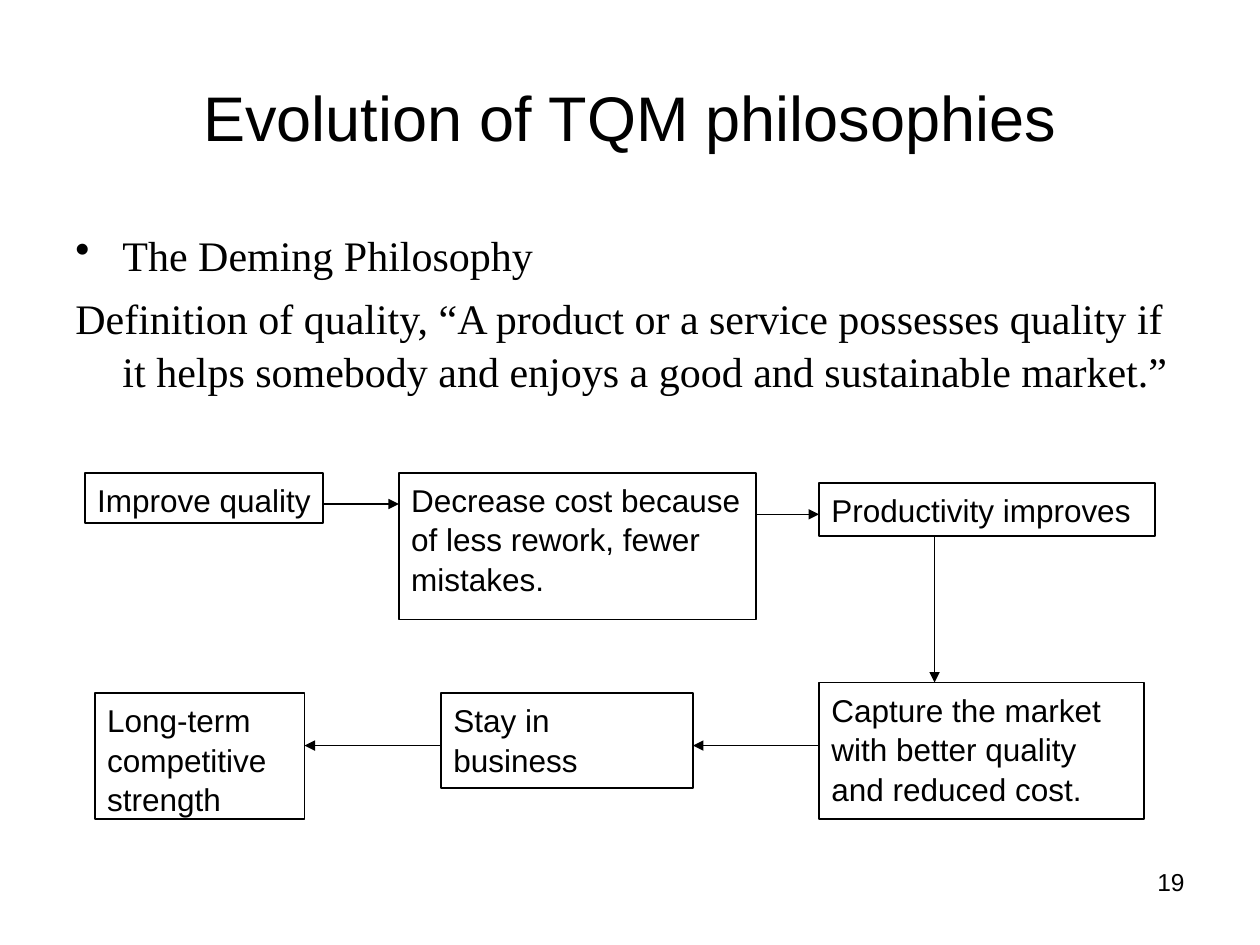
import pptx
import pptx.dml.color
import pptx.enum.shapes
import pptx.enum.text
import pptx.oxml
import pptx.oxml.ns
import pptx.util
from pptx.util import Cm

COLORS = {"ink": "000000"}
SANS, SERIF = "Arial", "Times New Roman"
LINE_SPACING = 1.05
ALIGN = pptx.enum.text.PP_ALIGN
ANCHOR = pptx.enum.text.MSO_ANCHOR

# Positions are left, top, width, height in centimetres.
TITLE = ("Evolution of TQM philosophies", (1.27, 0.76, 22.86, 3.18))
BODY_AREA = (1.27, 4.45, 22.86, 12.57)
BODY = [  # text, bulleted
    ("The Deming Philosophy", True),
    ("Definition of quality, “A product or a service possesses quality if "
     "it helps somebody and enjoys a good and sustainable market.”", False),
]
PAGE_NUMBER = ("19", (18.2, 17.36, 5.93, 1.32))
STEPS = [  # text, position, wrapped
    ("Improve quality", (1.71, 9.53, 4.8, 1.02), False),
    ("Decrease cost because of less rework, fewer mistakes.",
     (8.04, 9.53, 7.2, 2.96), True),
    ("Productivity improves", (16.51, 9.74, 6.77, 1.06), False),
    ("Capture the market with better quality and reduced cost.",
     (16.51, 13.76, 6.56, 2.75), True),
    ("Stay in business", (8.89, 13.97, 5.08, 1.91), True),
    ("Long-term competitive strength", (1.91, 13.97, 4.23, 2.54), True),
]
# Direction of the arrow after each step, and the coordinate it runs along.
ARROWS = [("right", 10.16), ("right", 10.37), ("down", 18.84),
          ("left", 15.03), ("left", 15.03)]


def ink():
    return pptx.dml.color.RGBColor.from_string(COLORS["ink"])


def style(paragraph, size, font=SANS, align=ALIGN.LEFT):
    paragraph.alignment = align
    paragraph.font.name = font
    paragraph.font.size = pptx.util.Pt(size)
    paragraph.font.color.rgb = ink()


def add_text(slide, text, area, size, align, anchor=ANCHOR.TOP):
    frame = slide.shapes.add_textbox(*map(Cm, area)).text_frame
    frame.word_wrap = True
    frame.vertical_anchor = anchor
    frame.text = text
    style(frame.paragraphs[0], size, align=align)


def add_body(slide):
    frame = slide.shapes.add_textbox(*map(Cm, BODY_AREA)).text_frame
    frame.word_wrap = True
    for index, (text, bulleted) in enumerate(BODY):
        paragraph = frame.paragraphs[0] if index == 0 else frame.add_paragraph()
        paragraph.text = text
        paragraph.line_spacing = LINE_SPACING
        if index:
            paragraph.space_before = pptx.util.Pt(6)
        properties = paragraph._p.get_or_add_pPr()
        properties.set("marL", str(Cm(0.95)))
        properties.set("indent", str(-Cm(0.95)))
        if bulleted:
            bullet = pptx.oxml.ns.qn("a:buChar")
            properties.append(properties.makeelement(bullet, {"char": "•"}))
        style(paragraph, 24, SERIF)


def add_step(slide, text, area, wrapped):
    shape = slide.shapes.add_shape(
        pptx.enum.shapes.MSO_SHAPE.RECTANGLE, *map(Cm, area))
    shape.shadow.inherit = False
    shape.fill.background()
    shape.line.color.rgb = ink()
    shape.line.width = pptx.util.Pt(1)
    frame = shape.text_frame
    frame.word_wrap = wrapped
    frame.vertical_anchor = ANCHOR.TOP
    frame.text = text
    frame.paragraphs[0].line_spacing = LINE_SPACING
    style(frame.paragraphs[0], 18)


def arrow_ends(start, end, direction, along):
    """Return the points where an arrow leaves one box and meets the next."""
    left, top, width, height = start
    next_left, next_top, next_width, _ = end
    if direction == "down":
        return along, top + height, along, next_top
    if direction == "right":
        return left + width, along, next_left, along
    return left, along, next_left + next_width, along


def add_arrow(slide, ends):
    connector = slide.shapes.add_connector(
        pptx.enum.shapes.MSO_CONNECTOR.STRAIGHT, *map(Cm, ends))
    connector.line.color.rgb = ink()
    connector.line.width = pptx.util.Pt(0.75)
    line = connector.line._get_or_add_ln()
    line.append(line.makeelement(
        pptx.oxml.ns.qn("a:tailEnd"), {"type": "triangle"}))
    properties = connector._element.spPr
    properties.append(properties.makeelement(
        pptx.oxml.ns.qn("a:effectLst"), {}))


def main():
    presentation = pptx.Presentation()
    presentation.slide_width = Cm(25.4)
    presentation.slide_height = Cm(19.05)
    slide = presentation.slides.add_slide(presentation.slide_layouts[6])

    add_text(slide, *TITLE, 36, ALIGN.CENTER, ANCHOR.MIDDLE)
    add_body(slide)
    for step in STEPS:
        add_step(slide, *step)
    for start, end, arrow in zip(STEPS, STEPS[1:], ARROWS):
        add_arrow(slide, arrow_ends(start[1], end[1], *arrow))
    add_text(slide, *PAGE_NUMBER, 14, ALIGN.RIGHT)

    presentation.save("out.pptx")


if __name__ == "__main__":
    main()
